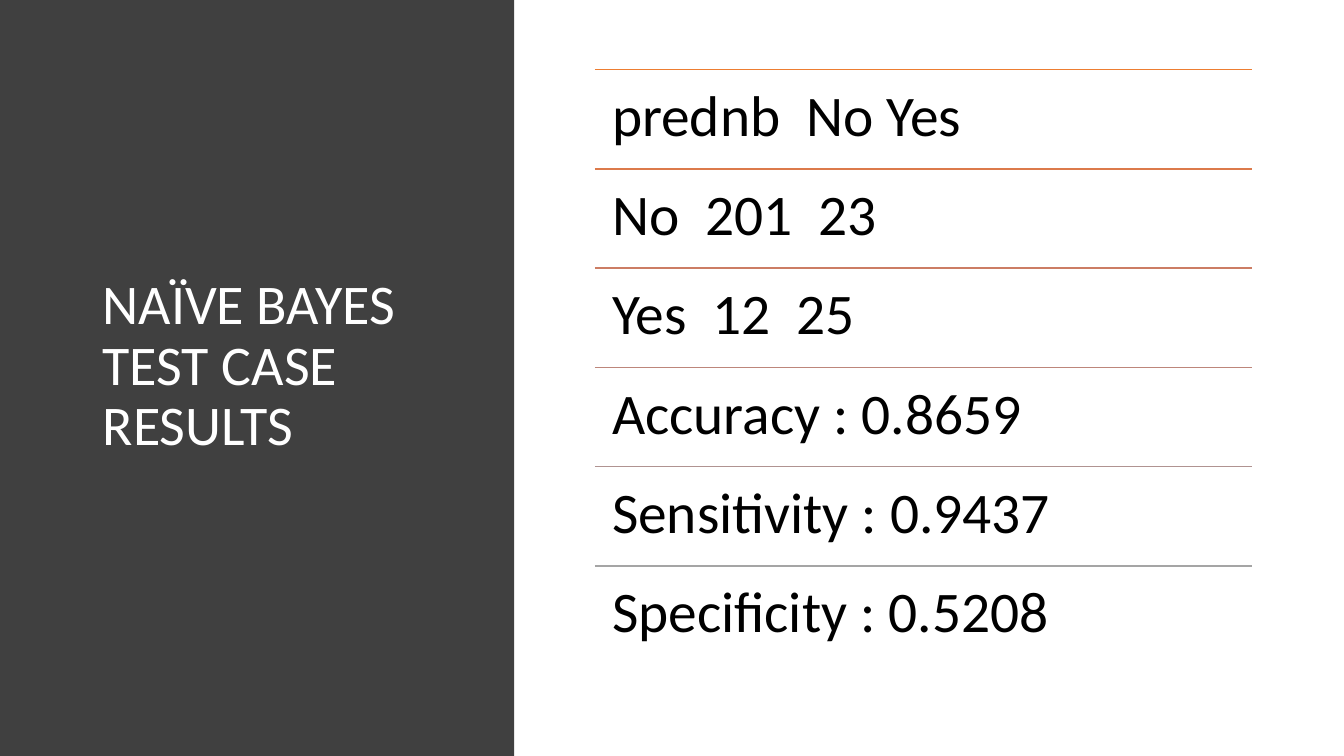
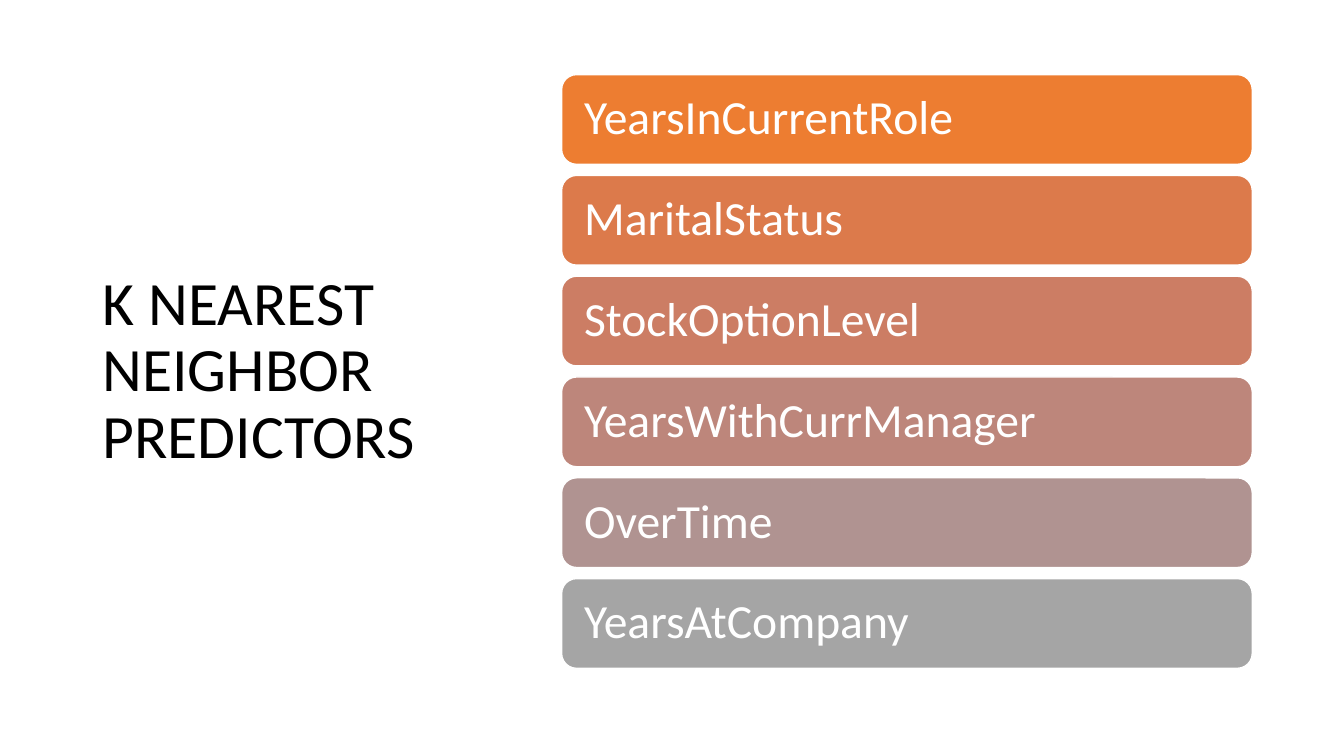
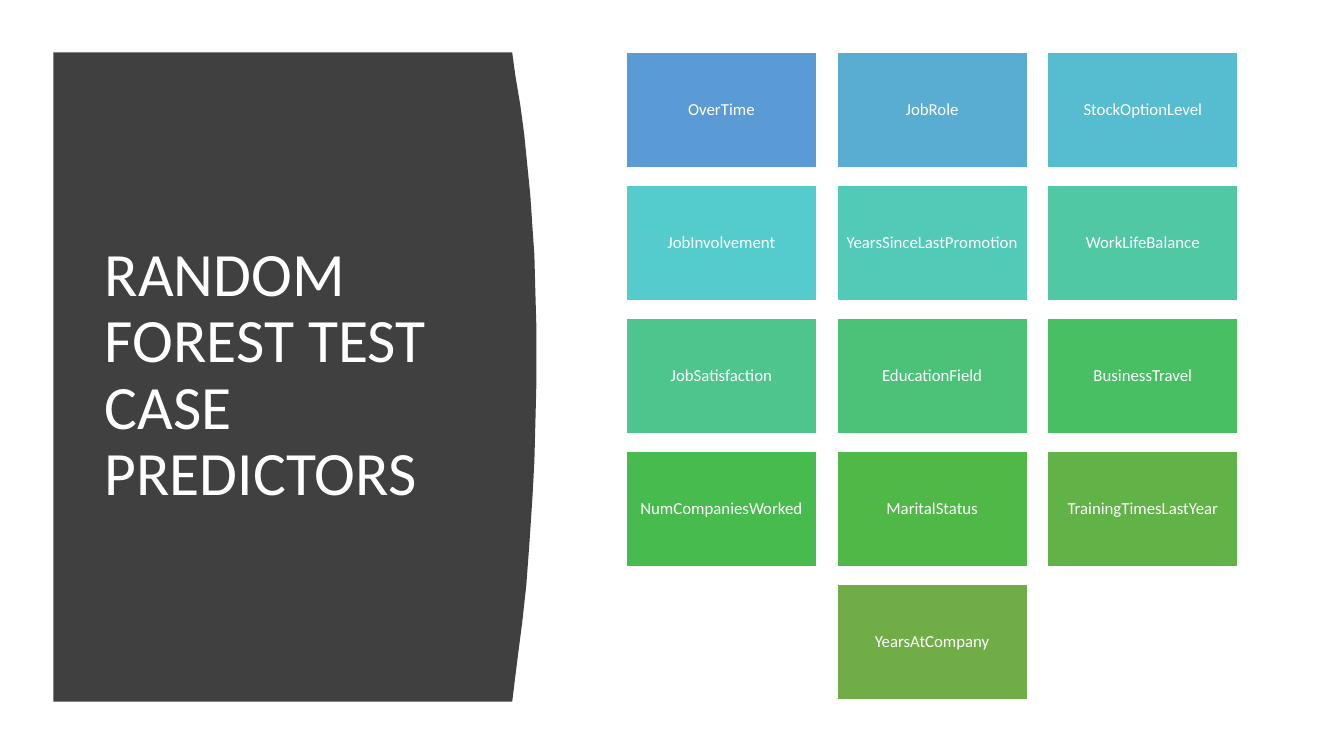
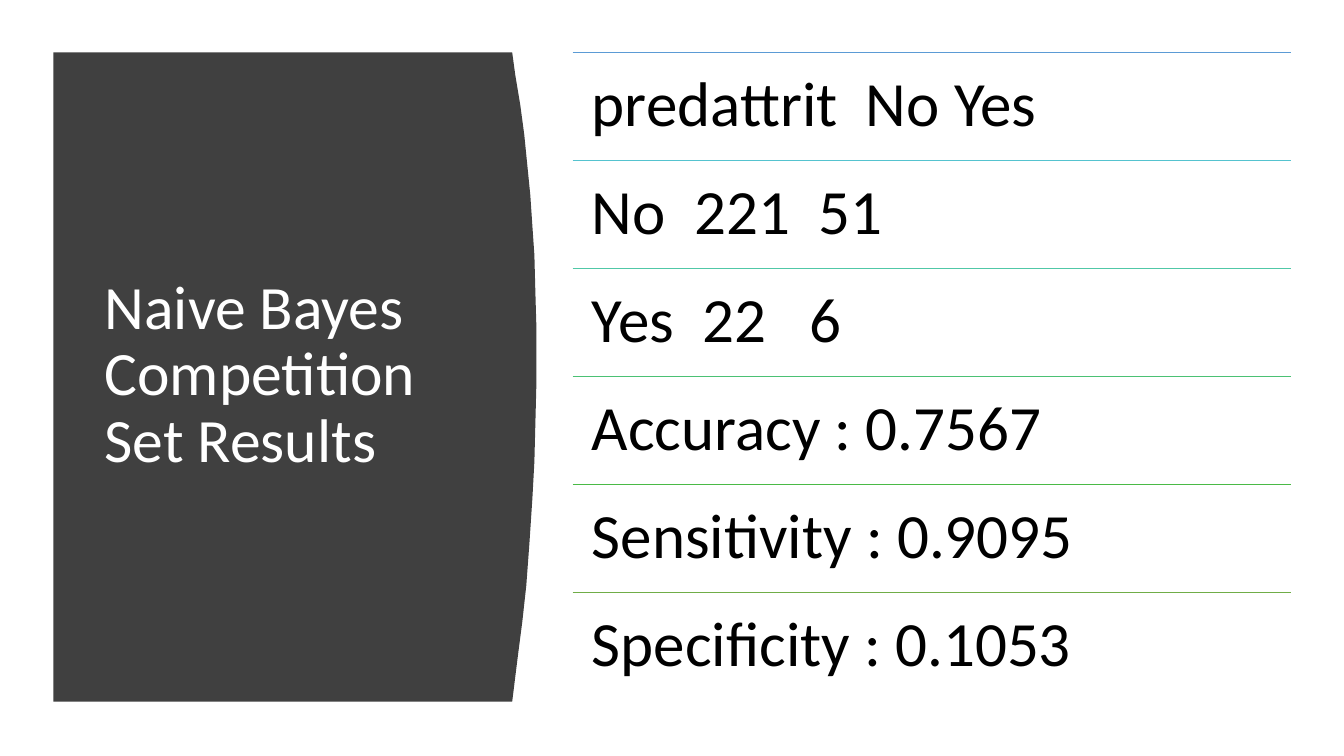
from lxml.etree import SubElement
from pptx import Presentation
from pptx.dml.color import RGBColor
from pptx.enum.shapes import MSO_CONNECTOR as Connector, MSO_SHAPE as Preset
from pptx.enum.text import MSO_ANCHOR as Anchor, PP_ALIGN as Align
from pptx.oxml.ns import qn
from pptx.util import Pt

PX = 9144
FONT = "Calibri"
WHITE = RGBColor.from_string("FFFFFF")
BLACK = RGBColor.from_string("000000")
CHARCOAL = RGBColor.from_string("404040")


def ramp(codes):
    return [RGBColor.from_string(code) for code in codes.split()]


WARM = ramp("ED7D31 DC7A4B CC7D64 BD867B B09391 A5A5A5")
COOL = ramp("5B9BD5 55C3CF 50C8A7 4BC174 4ABA46 70AD47")
COOL_FINE = ramp("5B9BD5 59ACD2 56BCD0 54CCCD 52CAB8 4FC8A3 4DC58D "
                 "4BC278 49BF64 48BB4F 50B846 61B247 70AD47")

TEST_RESULTS = ["prednb  No Yes", "No  201  23", "Yes  12  25",
                "Accuracy : 0.8659", "Sensitivity : 0.9437", "Specificity : 0.5208"]
COMPETITION_RESULTS = ["predattrit  No Yes", "No  221  51", "Yes  22   6",
                       "Accuracy : 0.7567", "Sensitivity : 0.9095", "Specificity : 0.1053"]
NEIGHBOR_PREDICTORS = ["YearsInCurrentRole", "MaritalStatus", "StockOptionLevel",
                       "YearsWithCurrManager", "OverTime", "YearsAtCompany"]
FOREST_PREDICTORS = ["OverTime", "JobRole", "StockOptionLevel",
                     "JobInvolvement", "YearsSinceLastPromotion", "WorkLifeBalance",
                     "JobSatisfaction", "EducationField", "BusinessTravel",
                     "NumCompaniesWorked", "MaritalStatus", "TrainingTimesLastYear",
                     "YearsAtCompany"]

CURVED_TITLE_BOX = (94, 111, 374, 524)
CURVED_PANEL = [(53, 52), (508, 52), (511, 74), (516, 104), (520, 134), (523, 164),
                (526, 194), (528, 224), (530, 253), (531, 290), (532, 325), (532, 380),
                (531, 420), (530, 458), (528, 495), (525, 540), (522, 581), (518, 617),
                (514, 648), (511, 672), (508, 696), (53, 696)]


def emu(*lengths):
    return [round(length * PX) for length in lengths]


def write(shape, text, size, color, inset=None, anchor=Anchor.MIDDLE, align=Align.LEFT):
    frame = shape.text_frame
    frame.text = text
    frame.word_wrap = True
    frame.vertical_anchor = anchor
    if inset is not None:
        frame.margin_left = frame.margin_right = inset * PX
        frame.margin_top = frame.margin_bottom = inset * PX
    paragraph = frame.paragraphs[0]
    paragraph.alignment = align
    paragraph.line_spacing = 0.9
    font = paragraph.runs[0].font
    font.name, font.size, font.color.rgb = FONT, Pt(size), color


def paint(shape, fill, outline=None):
    shape.shadow.inherit = False
    shape.fill.solid()
    shape.fill.fore_color.rgb = fill
    if outline is None:
        shape.line.fill.background()
    else:
        shape.line.color.rgb = outline
        shape.line.width = Pt(1)


def add_block(slide, preset, box, fill, outline=None):
    block = slide.shapes.add_shape(preset, *emu(*box))
    paint(block, fill, outline)
    return block


def add_title(slide, text, box, size=44, color=WHITE):
    write(slide.shapes.add_textbox(*emu(*box)), text, size, color)


def add_curved_panel(slide):
    start, *rest = CURVED_PANEL
    outline = slide.shapes.build_freeform(*start, scale=PX)
    outline.add_line_segments(rest, close=True)
    paint(outline.convert_to_shape(), CHARCOAL)


def add_ruled_list(slide, entries, colors, box, size, inset):
    left, top, width, height = box
    pitch = height / len(entries)
    for i, (entry, color) in enumerate(zip(entries, colors)):
        y = top + i * pitch
        rule = slide.shapes.add_connector(Connector.STRAIGHT, *emu(left, y, left + width, y))
        rule.line.color.rgb = color
        rule.line.width = Pt(1)
        SubElement(rule._element.spPr, qn("a:effectLst"))
        row = slide.shapes.add_textbox(*emu(left, y, width, pitch))
        write(row, entry, size, BLACK, inset, Anchor.TOP)


def add_bars(slide, entries, colors, box, gap):
    left, top, width, height = box
    for i, (entry, color) in enumerate(zip(entries, colors)):
        bar = add_block(slide, Preset.ROUNDED_RECTANGLE,
                        (left, top + i * (height + gap), width, height), color, WHITE)
        write(bar, entry, 34, WHITE, 14)
        bar.text_frame.margin_left = 18 * PX


def add_tiles(slide, entries, colors, tile, gaps, columns):
    left, top, width, height = tile
    step_x, step_y = width + gaps[0], height + gaps[1]
    for i, (entry, color) in enumerate(zip(entries, colors)):
        row, column = divmod(i, columns)
        in_row = min(columns, len(entries) - row * columns)
        x = left + (column + (columns - in_row) / 2) * step_x
        box = add_block(slide, Preset.RECTANGLE, (x, top + row * step_y, width, height),
                        color, WHITE)
        write(box, entry, 12, WHITE, 5, align=Align.CENTER)


def main():
    deck = Presentation()
    deck.slide_width, deck.slide_height = emu(1333, 750)
    test, neighbor, forest, competition = [
        deck.slides.add_slide(deck.slide_layouts[6]) for _ in range(4)]

    add_block(test, Preset.RECTANGLE, (0, 0, 510, 750), CHARCOAL)
    add_title(test, "NAÏVE BAYES TEST CASE RESULTS", (92, 68, 367, 592), size=40)
    add_ruled_list(test, TEST_RESULTS, WARM, (590, 69, 652, 591), 41, 17)

    add_title(neighbor, "K NEAREST NEIGHBOR PREDICTORS", (92, 68, 369, 602), color=BLACK)
    add_bars(neighbor, NEIGHBOR_PREDICTORS, WARM, (557, 74, 685, 89), 11)

    add_curved_panel(forest)
    add_title(forest, "RANDOM FOREST TEST CASE PREDICTORS", CURVED_TITLE_BOX)
    add_tiles(forest, FOREST_PREDICTORS, COOL_FINE, (621, 52, 189, 114), (20, 18), 3)

    add_curved_panel(competition)
    add_title(competition, "Naive Bayes Competition Set Results", CURVED_TITLE_BOX)
    add_ruled_list(competition, COMPETITION_RESULTS, COOL, (568, 52, 712, 643), 45, 19)

    deck.save("out.pptx")


if __name__ == "__main__":
    main()
